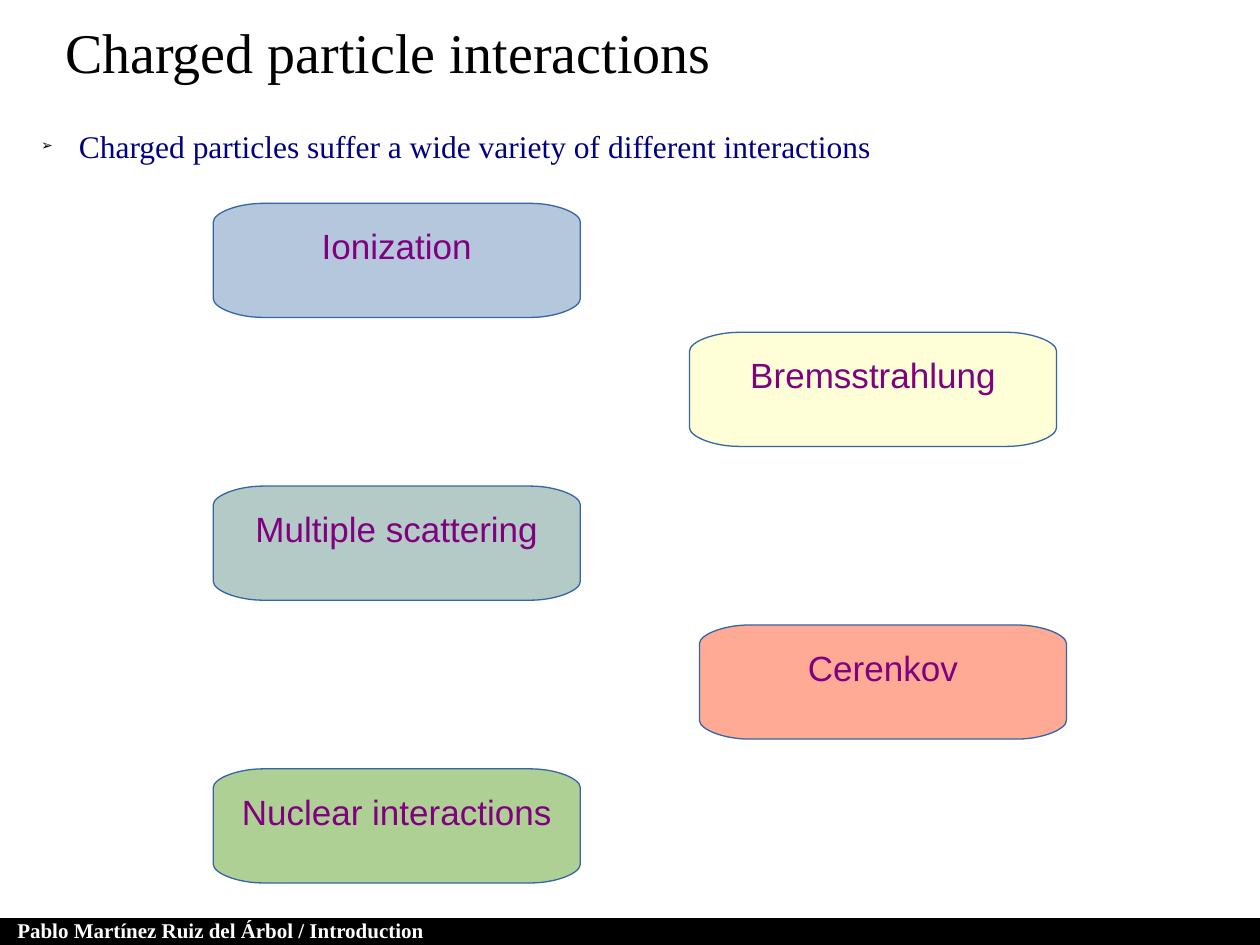
from dataclasses import dataclass

from lxml import etree
from pptx import Presentation
from pptx.dml.color import RGBColor
from pptx.enum.shapes import MSO_SHAPE
from pptx.enum.text import MSO_ANCHOR, MSO_AUTO_SIZE, PP_ALIGN
from pptx.oxml.ns import qn
from pptx.util import Cm, Pt

RECTANGLE = MSO_SHAPE.RECTANGLE
TOP, MIDDLE = MSO_ANCHOR.TOP, MSO_ANCHOR.MIDDLE
LEFT, CENTER = PP_ALIGN.LEFT, PP_ALIGN.CENTER
NO_AUTOFIT = MSO_AUTO_SIZE.NONE


@dataclass(frozen=True)
class Theme:
    serif: str = "Times New Roman"
    sans: str = "Arial"
    paper: str = "FFFFFF"
    ink: str = "000000"
    statement: str = "000080"
    process: str = "800080"
    outline: str = "3465A4"
    title_size: int = 32
    process_size: int = 20
    statement_size: int = 18
    footer_size: int = 12
    line_width: float = 0.75


THEME = Theme()
BOX_WIDTH, BOX_HEIGHT = 7.4, 2.3
CORNER_WIDTH, CORNER_HEIGHT = 1.0, 0.38
LEFT_COLUMN = 4.3
PROCESSES = [
    ("Ionization", LEFT_COLUMN, 4.1, "B4C7DC"),
    ("Bremsstrahlung", 13.9, 6.7, "FFFFD7"),
    ("Multiple scattering", LEFT_COLUMN, 9.8, "B3CAC7"),
    ("Cerenkov", 14.1, 12.6, "FFAA95"),
    ("Nuclear interactions", LEFT_COLUMN, 15.5, "AFD095"),
]


def apply_format(target, values):
    for name, value in values.items():
        setattr(target, name, value)


def place(element, left, top, width, height):
    apply_format(element, {"left": Cm(left), "top": Cm(top),
                           "width": Cm(width), "height": Cm(height)})


def paint(shape, fill, outline):
    shape.shadow.inherit = False
    shape.fill.solid()
    shape.fill.fore_color.rgb = RGBColor.from_string(fill)
    shape.line.color.rgb = RGBColor.from_string(outline)
    shape.line.width = Pt(THEME.line_width)


def write(shape, text, font, size, color, bold=False, align=CENTER,
          anchor=TOP, wrap=True, insets=(0.25, 0.13, 0.25, 0.13)):
    frame = shape.text_frame
    left, top, right, bottom = (Cm(inset) for inset in insets)
    apply_format(frame, {"word_wrap": wrap, "auto_size": NO_AUTOFIT,
                         "vertical_anchor": anchor,
                         "margin_left": left, "margin_top": top,
                         "margin_right": right, "margin_bottom": bottom})
    paragraph = frame.paragraphs[0]
    apply_format(paragraph, {"alignment": align, "space_before": Pt(0)})
    run = paragraph.add_run()
    run.text = text
    apply_format(run.font, {"name": font, "size": Pt(size), "bold": bold})
    run.font.color.rgb = RGBColor.from_string(color)
    return paragraph


def add_bullet(paragraph, character, color, percent, indent):
    properties = paragraph._p.get_or_add_pPr()
    properties.set("marL", str(Cm(indent)))
    properties.set("indent", str(-Cm(indent)))
    bullet_color = etree.SubElement(properties, qn("a:buClr"))
    etree.SubElement(bullet_color, qn("a:srgbClr"), val=color)
    etree.SubElement(properties, qn("a:buSzPct"), val=str(percent * 1000))
    etree.SubElement(properties, qn("a:buChar"), char=character)


def box_outline(left, top):
    left_side = [(CORNER_WIDTH, 0), (0, CORNER_HEIGHT),
                 (0, BOX_HEIGHT - CORNER_HEIGHT), (CORNER_WIDTH, BOX_HEIGHT)]
    right_side = [(BOX_WIDTH - x, y) for x, y in reversed(left_side)]
    return [(Cm(left + x), Cm(top + y)) for x, y in left_side + right_side]


def point_position(segment):
    point = segment.find(qn("a:pt"))
    return int(point.get("x")), int(point.get("y"))


def round_corners(box):
    outline = next(box._element.iter(qn("a:path")))
    segments = [part for part in outline if part.find(qn("a:pt")) is not None]
    for index in range(0, len(segments) - 1, 2):
        start_x, start_y = point_position(segments[index])
        end_x, end_y = point_position(segments[index + 1])
        middle_x, middle_y = (start_x + end_x) // 2, (start_y + end_y) // 2
        if index % 4 == 0:
            controls = [(middle_x, start_y), (end_x, middle_y)]
        else:
            controls = [(start_x, middle_y), (middle_x, end_y)]
        curve = etree.Element(qn("a:cubicBezTo"))
        for x, y in controls + [(end_x, end_y)]:
            etree.SubElement(curve, qn("a:pt"), x=str(x), y=str(y))
        outline.replace(segments[index + 1], curve)


def add_process(slide, name, left, top, fill):
    start, *rest = box_outline(left, top)
    builder = slide.shapes.build_freeform(*start, scale=1.0)
    builder.add_line_segments(rest, close=True)
    box = builder.convert_to_shape()
    round_corners(box)
    paint(box, fill, THEME.outline)
    write(box, name, THEME.sans, THEME.process_size, THEME.process,
          anchor=MIDDLE, wrap=False, insets=(0.25, 0.13, 0.25, 0.72))


def add_footer(slide):
    band = slide.shapes.add_shape(
        RECTANGLE, Cm(0), Cm(18.52), Cm(25.4), Cm(0.55))
    paint(band, THEME.ink, THEME.ink)
    credit = slide.shapes.add_shape(
        RECTANGLE, Cm(-0.1), Cm(18.36), Cm(9.1), Cm(0.94))
    credit.shadow.inherit = False
    credit.fill.background()
    credit.line.fill.background()
    write(credit, "Pablo Martínez Ruiz del Árbol / Introduction",
          THEME.serif, THEME.footer_size, THEME.paper, bold=True)


def add_title(slide):
    title = slide.shapes.title
    place(title, -0.12, 0.23, 15.9, 1.8)
    write(title, "Charged particle interactions",
          THEME.serif, THEME.title_size, THEME.ink)


def add_statement(slide):
    body = slide.placeholders[1]
    place(body, 0.5, 1.98, 25.65, 2.4)
    statement = write(
        body, "Charged particles suffer a wide variety of different interactions",
        THEME.serif, THEME.statement_size, THEME.statement,
        align=LEFT, insets=(0.33, 0.2, 0.33, 0.2))
    statement.line_spacing = 1.5
    add_bullet(statement, "➢", THEME.ink, 45, 0.76)


def main():
    deck = Presentation()
    apply_format(deck, {"slide_width": Cm(25.4), "slide_height": Cm(19.05)})
    slide = deck.slides.add_slide(deck.slide_layouts[1])
    slide.background.fill.solid()
    slide.background.fill.fore_color.rgb = RGBColor.from_string(THEME.paper)
    add_footer(slide)
    add_title(slide)
    add_statement(slide)
    for process in PROCESSES:
        add_process(slide, *process)
    deck.save("out.pptx")


if __name__ == "__main__":
    main()
